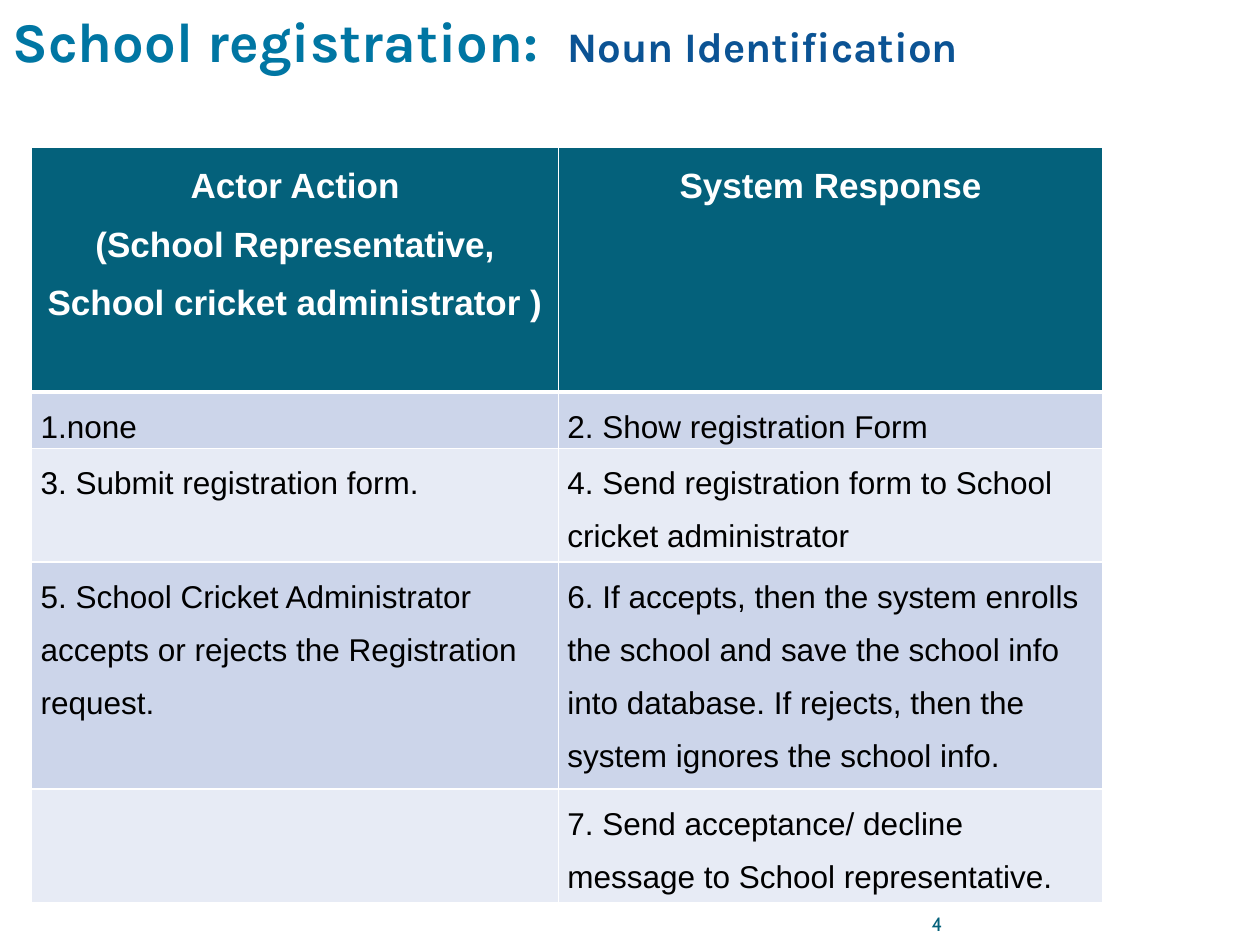
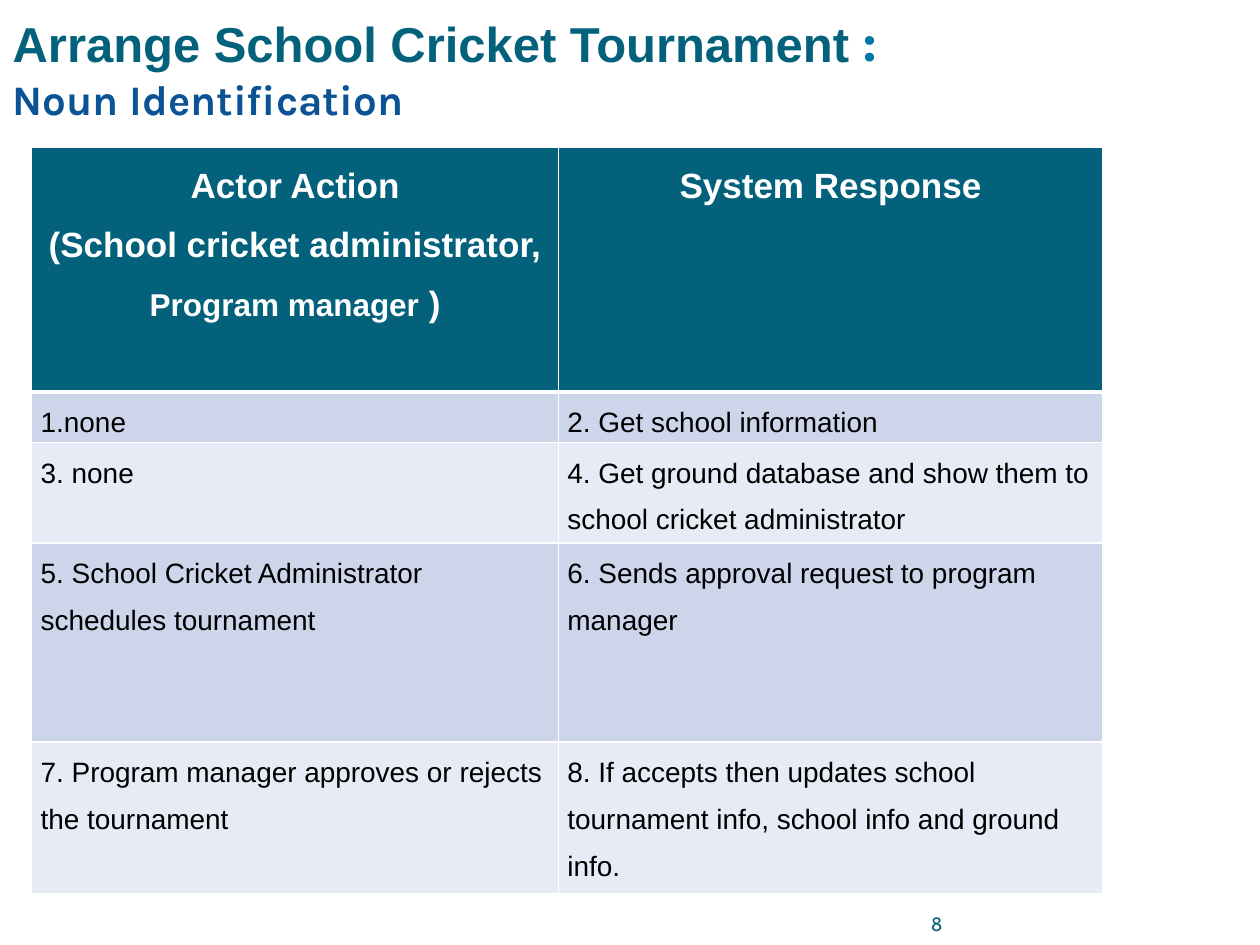
from lxml import etree
from pptx import Presentation
from pptx.dml.color import RGBColor
from pptx.enum.text import MSO_ANCHOR, MSO_AUTO_SIZE, PP_ALIGN
from pptx.oxml.ns import qn
from pptx.util import Cm, Pt

TOP, BOTTOM = MSO_ANCHOR.TOP, MSO_ANCHOR.BOTTOM
LEFT, MID, RIGHT = PP_ALIGN.LEFT, PP_ALIGN.CENTER, PP_ALIGN.RIGHT
NO_FIT = MSO_AUTO_SIZE.NONE

TEAL, SKY, NAVY = "04617B", "0076A3", "0B5394"
WHITE, BLACK = "FFFFFF", "000000"
BANDS = "CCD5EA", "E7EBF5"
SANS, HEAD, FOOT = "Arial", "Karla", "Cabin"

COLS = 10.62, 10.97
GRID_AT = 0.64, 2.97
FOOT_BOX = 17.37, 18.21, 1.63, 0.64
SUB = ("Noun Identification", 24, HEAD, NAVY)


def paint(hue):
    """Turn a hex string into a colour."""
    return RGBColor.from_string(hue)


def style(font, size, face, hue, bold=False):
    """Set size, face, colour and weight of a font."""
    font.size, font.name, font.bold = Pt(size), face, bold
    font.color.rgb = paint(hue)


def write(frame, lines, align, space=1.0, after=0, bold=False):
    """Fill a frame with lines, each a list of (text, size, face, colour)."""
    for i, line in enumerate(lines):
        para = frame.paragraphs[0] if i == 0 else frame.add_paragraph()
        para.alignment, para.line_spacing = align, space
        para.space_after = Pt(after)
        if len({part[1:] for part in line}) == 1:
            style(para.font, *line[0][1:], bold)
        for text, *look in line:
            run = para.add_run()
            run.text = text
            if len(line) > 1:
                style(run.font, *look, bold)


def place(shape, box):
    """Move a shape to a box of left, top, width and height in cm."""
    shape.left, shape.top, shape.width, shape.height = map(Cm, box)


def add_title(slide, lines, box):
    """Put the heading into the title placeholder."""
    title = slide.shapes.title
    place(title, box)
    frame = title.text_frame
    frame.auto_size, frame.word_wrap = NO_FIT, True
    frame.vertical_anchor = TOP
    write(frame, lines, LEFT, bold=True)


def add_foot(slide, page, box):
    """Put the page number at the foot of the slide."""
    frame = slide.shapes.add_textbox(*map(Cm, box)).text_frame
    frame.word_wrap, frame.vertical_anchor = True, BOTTOM
    frame.margin_left = frame.margin_right = 0
    frame.margin_top = frame.margin_bottom = 0
    write(frame, [[(page, 11, FOOT, TEAL)]], RIGHT)


def edge(cell, tag, width):
    """Draw one white border of a cell."""
    line = etree.SubElement(cell._tc.get_or_add_tcPr(), qn(f"a:{tag}"),
                            w=str(Pt(width)))
    fill = etree.SubElement(line, qn("a:solidFill"))
    etree.SubElement(fill, qn("a:srgbClr"), val=WHITE)


def add_cell(cell, row, lines, after):
    """Frame, fill and write one cell of the grid."""
    cell.margin_left = cell.margin_right = Cm(0.18)
    cell.margin_top = cell.margin_bottom = 0
    edge(cell, "lnL", 1)
    edge(cell, "lnR", 1)
    edge(cell, "lnT", 3 if row == 1 else 1)
    edge(cell, "lnB", 3 if row == 0 else 1)
    cell.fill.solid()
    cell.fill.fore_color.rgb = paint(BANDS[(row - 1) % 2] if row else TEAL)
    write(cell.text_frame, lines, LEFT if row else MID, 1.5,
          after if row else 0, row == 0)


def add_grid(slide, actors, steps, highs, size, after, at):
    """Build the table of actor actions and system responses."""
    box = *at, sum(COLS), sum(highs)
    table = slide.shapes.add_table(len(highs), len(COLS),
                                   *map(Cm, box)).table
    for col, width in zip(table.columns, COLS):
        col.width = Cm(width)
    for row, high in zip(table.rows, highs):
        row.height = Cm(high)
    names = [[[("Actor Action", 20, SANS, WHITE)], actors],
             [[("System Response", 20, SANS, WHITE)]]]
    for c, lines in enumerate(names):
        add_cell(table.cell(0, c), 0, lines, 0)
    for r, pair in enumerate(steps, 1):
        for c, text in enumerate(pair):
            lines = [[(text, size, SANS, BLACK)]] if text else []
            add_cell(table.cell(r, c), r, lines, after)


def add_slide(deck, page, title, high, **grid):
    """Build one slide with its title, grid and page number."""
    slide = deck.slides.add_slide(deck.slide_layouts[5])
    add_foot(slide, page, FOOT_BOX)
    add_title(slide, title, (0, 0, 22.66, high))
    add_grid(slide, at=GRID_AT, **grid)


def main():
    """Build and save the deck."""
    deck = Presentation()
    deck.slide_width, deck.slide_height = Cm(25.4), Cm(19.05)
    add_slide(
        deck, "4",
        [[("School registration:  ", 32, HEAD, SKY), SUB]], 1.63,
        actors=[("(School Representative, School cricket administrator )",
                 20, SANS, WHITE)],
        steps=[
            ("1.none", "2. Show registration Form"),
            ("3. Submit registration form.",
             "4. Send registration form to School cricket administrator"),
            ("5. School Cricket Administrator accepts or rejects the "
             "Registration request.",
             "6. If accepts, then the system enrolls the school and save the "
             "school info into database. If rejects, then the system ignores "
             "the school info."),
            ("", "7. Send acceptance/ decline message to School "
             "representative."),
        ],
        highs=(4.93, 1.14, 2.29, 4.57, 2.29), size=18, after=0)
    add_slide(
        deck, "8",
        [[("Arrange School Cricket Tournament ", 28, SANS, TEAL),
          (":", 32, HEAD, SKY)], [SUB]], 2.64,
        actors=[("(School cricket administrator,", 20, SANS, WHITE),
                (" ", 18, FOOT, WHITE),
                ("Program manager", 18, SANS, WHITE),
                (" )", 20, SANS, WHITE)],
        steps=[
            ("1.none", "2. Get school information"),
            ("3. none", "4. Get ground database and show them to school "
             "cricket administrator"),
            ("5. School Cricket Administrator schedules tournament",
             "6. Sends approval request to program manager"),
            ("7. Program manager approves or rejects the tournament",
             "8. If accepts then updates school tournament info, school info "
             "and ground info."),
        ],
        highs=(4.93, 1.02, 2.02, 4.01, 3.05), size=16, after=10)
    deck.save("out.pptx")


if __name__ == "__main__":
    main()
